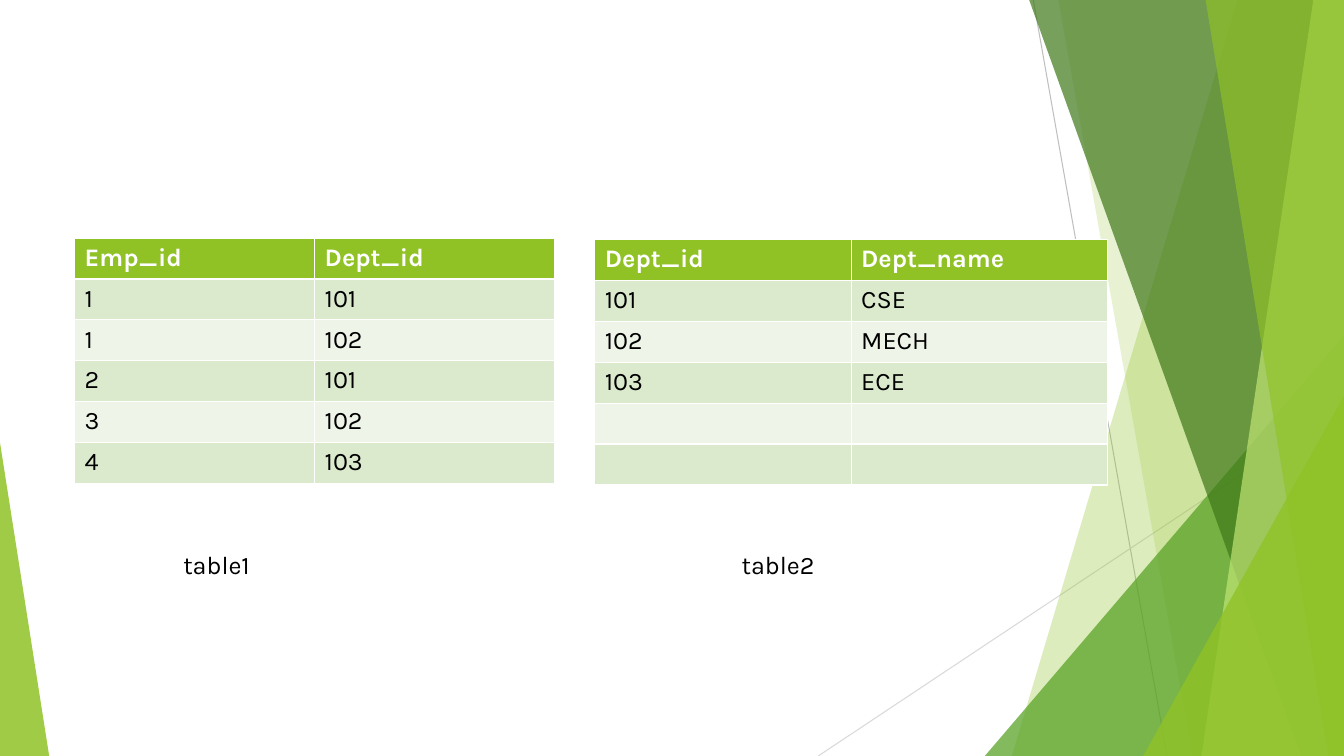
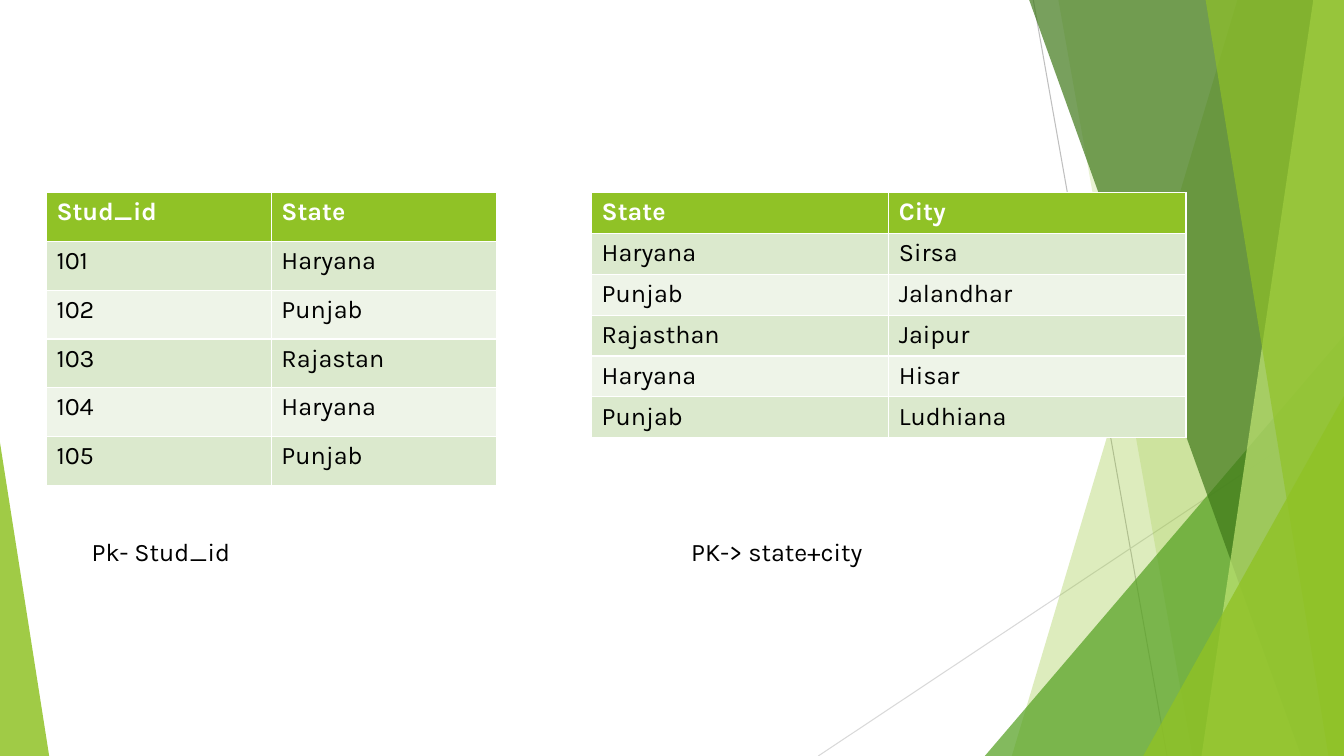
import dataclasses

import lxml.etree
import pptx
import pptx.dml.color
import pptx.enum.shapes
import pptx.enum.text
import pptx.oxml.ns
import pptx.shapes.autoshape
import pptx.shapes.group
import pptx.slide
import pptx.util

Cm = pptx.util.Cm
qn = pptx.oxml.ns.qn

WIDTH, HEIGHT = 33.87, 19.05
BAND_TOP = -0.02
FONT = "Karla"
FONT_SIZE = 18
ROW_HEIGHT = 1.03
CAPTION_HEIGHT = 1.03

COLOURS = {
    "lime": "90C226",
    "pale lime": "C0E474",
    "green": "54A021",
    "forest": "3F7819",
    "grey": "BFBFBF",
    "light grey": "D9D9D9",
    "odd row": "DBE9CD",
    "even row": "EEF4E8",
    "header text": "FFFFFF",
    "text": "000000",
}


@dataclasses.dataclass(frozen=True)
class Ray:
    """A thin line across the facets."""
    start: tuple[float, float]
    end: tuple[float, float]
    colour: str


@dataclasses.dataclass(frozen=True)
class Band:
    """A full-height facet from a slanted left side to the right slide edge."""
    top_x: float
    bottom_x: float
    colour: str
    opacity: int


@dataclasses.dataclass(frozen=True)
class Corner:
    """A triangle that stands on the bottom slide edge."""
    left: float
    top: float
    width: float
    apex: float
    colour: str
    opacity: int


@dataclasses.dataclass(frozen=True)
class Relation:
    """A database table; missing rows are left empty."""
    left: float
    top: float
    column_width: float
    rows: list[tuple[str, str]]
    row_height: float = ROW_HEIGHT
    row_count: int = 6


@dataclasses.dataclass(frozen=True)
class Caption:
    text: str
    left: float
    top: float
    width: float


FACETS = [
    Ray((26.04, 0), (29.41, HEIGHT), "grey"),
    Ray((WIDTH, 10.24), (20.62, HEIGHT), "light grey"),
    Band(31.19, 25.5, "lime", 30),
    Band(26.67, 30.05, "lime", 20),
    Corner(24.82, 8.46, WIDTH - 24.82, 1, "green", 72),
    Band(25.93, 32.79, "forest", 70),
    Band(33.1, 30.28, "pale lime", 70),
    Band(30.38, 33.48, "lime", 65),
    Corner(28.81, 9.98, WIDTH - 28.81, 1, "lime", 80),
    Corner(0, 11.15, 1.24, 0, "lime", 85),
]

SLIDES = [
    [
        Relation(1.88, 6, 6.05, [
            ("Emp_id", "Dept_id"), ("1", "101"), ("1", "102"),
            ("2", "101"), ("3", "102"), ("4", "103"),
        ]),
        Relation(14.99, 6.04, 6.46, [
            ("Dept_id", "Dept_name"), ("101", "CSE"),
            ("102", "MECH"), ("103", "ECE"),
        ]),
        Caption("table1", 4.37, 13.72, 5.54),
        Caption("table2", 18.44, 13.72, 6.5),
    ],
    [
        Relation(1.17, 4.85, 5.67, [
            ("Stud_id", "State"), ("101", "Haryana"), ("102", "Punjab"),
            ("103", "Rajastan"), ("104", "Haryana"), ("105", "Punjab"),
        ], row_height=1.23),
        Relation(14.91, 4.85, 7.49, [
            ("State", "City"), ("Haryana", "Sirsa"), ("Punjab", "Jalandhar"),
            ("Rajasthan", "Jaipur"), ("Haryana", "Hisar"), ("Punjab", "Ludhiana"),
        ]),
        Caption("Pk- Stud_id", 2.06, 13.39, 8.33),
        Caption("PK-> state+city", 17.17, 13.39, 8.97),
    ],
]


def rgb(name: str) -> pptx.dml.color.RGBColor:
    return pptx.dml.color.RGBColor.from_string(COLOURS[name])


def write(frame, text: str, colour: str = "text", bold: bool = False) -> None:
    frame.text = text
    for run in frame.paragraphs[0].runs:
        run.font.name = FONT
        run.font.size = pptx.util.Pt(FONT_SIZE)
        run.font.bold = bold
        run.font.color.rgb = rgb(colour)


def paint(shape: pptx.shapes.autoshape.Shape, colour: str, opacity: int) -> None:
    """Give a flat, borderless fill with the opacity in percent."""
    shape.shadow.inherit = False
    shape.line.fill.background()
    shape.fill.solid()
    shape.fill.fore_color.rgb = rgb(colour)
    fill_colour = shape.element.spPr.find(qn("a:solidFill")).find(qn("a:srgbClr"))
    lxml.etree.SubElement(fill_colour, qn("a:alpha")).set("val", str(opacity * 1000))


def draw_ray(group: pptx.shapes.group.GroupShape, ray: Ray) -> None:
    line = group.shapes.add_connector(
        pptx.enum.shapes.MSO_CONNECTOR.STRAIGHT,
        *(Cm(length) for length in ray.start + ray.end))
    line.line.color.rgb = rgb(ray.colour)
    line.line.width = pptx.util.Pt(0.75)
    lxml.etree.SubElement(line.element.spPr, qn("a:effectLst"))


def draw_band(group: pptx.shapes.group.GroupShape, band: Band) -> None:
    outline = group.shapes.build_freeform(Cm(band.top_x), Cm(BAND_TOP))
    outline.add_line_segments([
        (Cm(WIDTH), Cm(BAND_TOP)),
        (Cm(WIDTH), Cm(HEIGHT)),
        (Cm(band.bottom_x), Cm(HEIGHT)),
    ])
    paint(outline.convert_to_shape(), band.colour, band.opacity)


def draw_corner(group: pptx.shapes.group.GroupShape, corner: Corner) -> None:
    triangle = group.shapes.add_shape(
        pptx.enum.shapes.MSO_SHAPE.ISOSCELES_TRIANGLE,
        Cm(corner.left), Cm(corner.top),
        Cm(corner.width), Cm(HEIGHT - corner.top))
    triangle.adjustments[0] = corner.apex
    paint(triangle, corner.colour, corner.opacity)


def draw_relation(slide: pptx.slide.Slide, relation: Relation) -> None:
    column_count = len(relation.rows[0])
    table = slide.shapes.add_table(
        relation.row_count, column_count, Cm(relation.left), Cm(relation.top),
        Cm(relation.column_width * column_count),
        Cm(relation.row_height * relation.row_count)).table
    for row_index in range(relation.row_count):
        header = row_index == 0
        fill = "lime" if header else "odd row" if row_index % 2 else "even row"
        for column_index in range(column_count):
            cell = table.cell(row_index, column_index)
            cell.fill.solid()
            cell.fill.fore_color.rgb = rgb(fill)
            if row_index < len(relation.rows):
                write(cell.text_frame, relation.rows[row_index][column_index],
                      "header text" if header else "text", header)


def draw_caption(slide: pptx.slide.Slide, caption: Caption) -> None:
    box = slide.shapes.add_textbox(
        Cm(caption.left), Cm(caption.top), Cm(caption.width), Cm(CAPTION_HEIGHT))
    box.text_frame.word_wrap = True
    box.text_frame.auto_size = pptx.enum.text.MSO_AUTO_SIZE.SHAPE_TO_FIT_TEXT
    write(box.text_frame, caption.text)


DRAW = {
    Ray: draw_ray,
    Band: draw_band,
    Corner: draw_corner,
    Relation: draw_relation,
    Caption: draw_caption,
}


def decorate(layout: pptx.slide.SlideLayout, slide: pptx.slide.Slide) -> None:
    """Draw the facets on the slide, then move them to its layout."""
    for placeholder in list(layout.placeholders):
        layout.shapes.element.remove(placeholder.element)
    facets = slide.shapes.add_group_shape()
    for facet in FACETS:
        DRAW[type(facet)](facets, facet)
    layout.shapes.element.append(facets.element)


def main() -> None:
    deck = pptx.Presentation()
    deck.slide_width, deck.slide_height = Cm(WIDTH), Cm(HEIGHT)
    blank = deck.slide_layouts[6]
    for index, parts in enumerate(SLIDES):
        slide = deck.slides.add_slide(blank)
        if index == 0:
            decorate(blank, slide)
        for part in parts:
            DRAW[type(part)](slide, part)
    deck.save("out.pptx")


if __name__ == "__main__":
    main()
